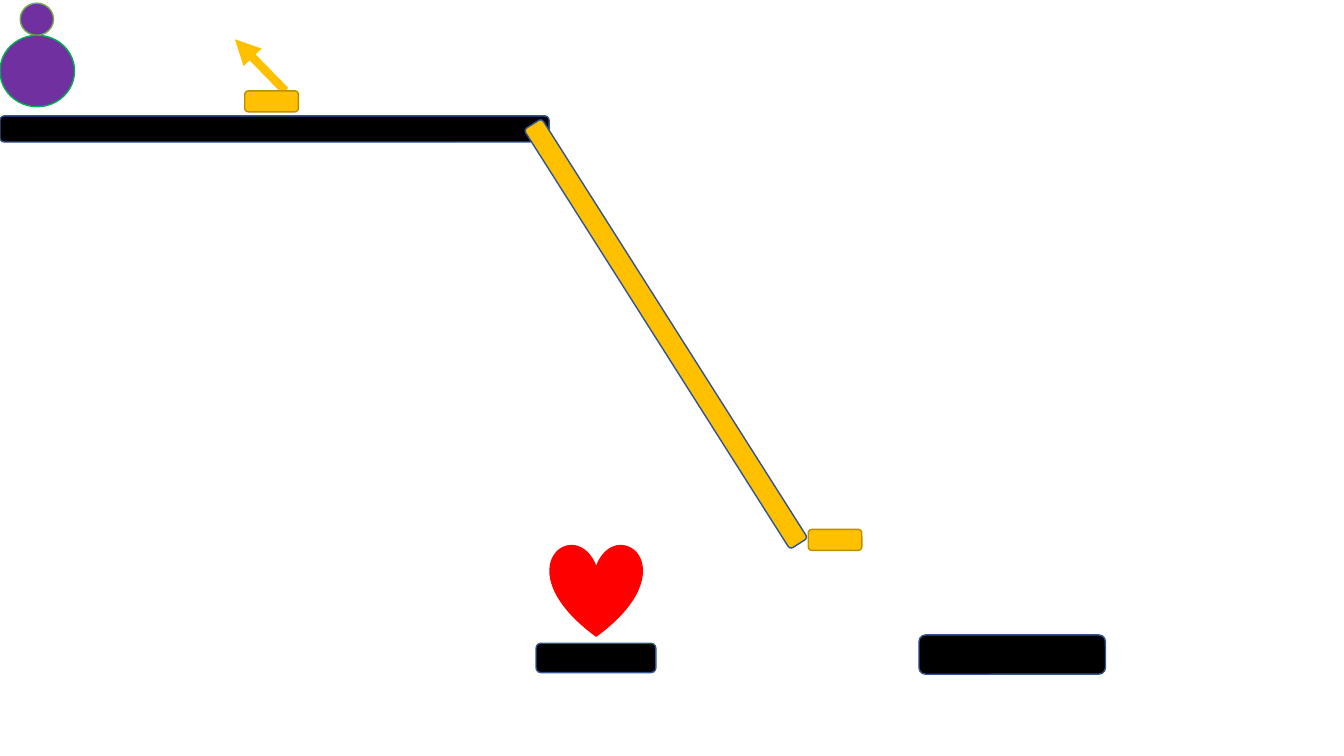
import pptx
import pptx.util
import pptx.dml.color
import pptx.enum.shapes
import pptx.oxml.ns
from lxml import etree

Cm = pptx.util.Cm
MSO = pptx.enum.shapes.MSO_SHAPE

COLORS = {
    "purple": "7030A0",
    "light_green": "70AD47",
    "green": "00B050",
    "red": "FF0000",
    "black": "000000",
    "navy": "325491",
    "gold": "FFC000",
    "dark_gold": "BD8E00",
}


def rgb(name):
    return pptx.dml.color.RGBColor.from_string(COLORS[name])


def add_figure(shapes, kind, box, fill, line, rotation=0):
    sp = shapes.add_shape(kind, *(Cm(v) for v in box))
    sp.shadow.inherit = False
    sp.fill.solid()
    sp.fill.fore_color.rgb = rgb(fill)
    sp.line.color.rgb = rgb(line)
    sp.line.width = pptx.util.Pt(1)
    sp.rotation = rotation
    return sp


def add_arrow(shapes, start, end, color, width):
    cx = shapes.add_connector(
        pptx.enum.shapes.MSO_CONNECTOR.STRAIGHT,
        *(Cm(v) for v in start + end))
    cx.line.color.rgb = rgb(color)
    cx.line.width = pptx.util.Pt(width)
    qn = pptx.oxml.ns.qn
    etree.SubElement(cx.line._get_or_add_ln(), qn("a:tailEnd"), type="triangle")
    etree.SubElement(cx._element.spPr, qn("a:effectLst"))
    return cx


def add_person(s):
    person = s.shapes.add_group_shape().shapes
    add_figure(person, MSO.OVAL, (0.51, 0.08, 0.84, 0.81), "purple", "light_green")
    add_figure(person, MSO.OVAL, (0, 0.89, 1.88, 1.8), "purple", "green")


def add_lever(s):
    lever = s.shapes.add_group_shape().shapes
    add_arrow(lever, (7.19, 2.29), (5.92, 0.99), "gold", 6)
    add_block(lever, 6.17, 2.29)


def add_block(shapes, left, top):
    add_figure(shapes, MSO.ROUNDED_RECTANGLE, (left, top, 1.35, 0.53),
               "gold", "dark_gold")


def add_platform(s, *box):
    add_figure(s.shapes, MSO.ROUNDED_RECTANGLE, box, "black", "navy")


def main():
    prs = pptx.Presentation()
    prs.slide_width, prs.slide_height = Cm(33.87), Cm(19.05)
    s = prs.slides.add_slide(prs.slide_layouts[6])
    add_person(s)
    add_figure(s.shapes, MSO.HEART, (13.87, 13.72, 2.31, 2.31), "red", "red")
    add_platform(s, 0, 2.92, 13.84, 0.66)
    add_lever(s)
    add_figure(s.shapes, MSO.ROUNDED_RECTANGLE, (10.52, 8.15, 12.52, 0.53),
               "gold", "navy", 57.6)
    add_block(s.shapes, 20.37, 13.34)
    add_platform(s, 23.16, 16, 4.7, 0.99)
    add_platform(s, 13.51, 16.21, 3.02, 0.74)
    prs.save("out.pptx")


if __name__ == "__main__":
    main()
